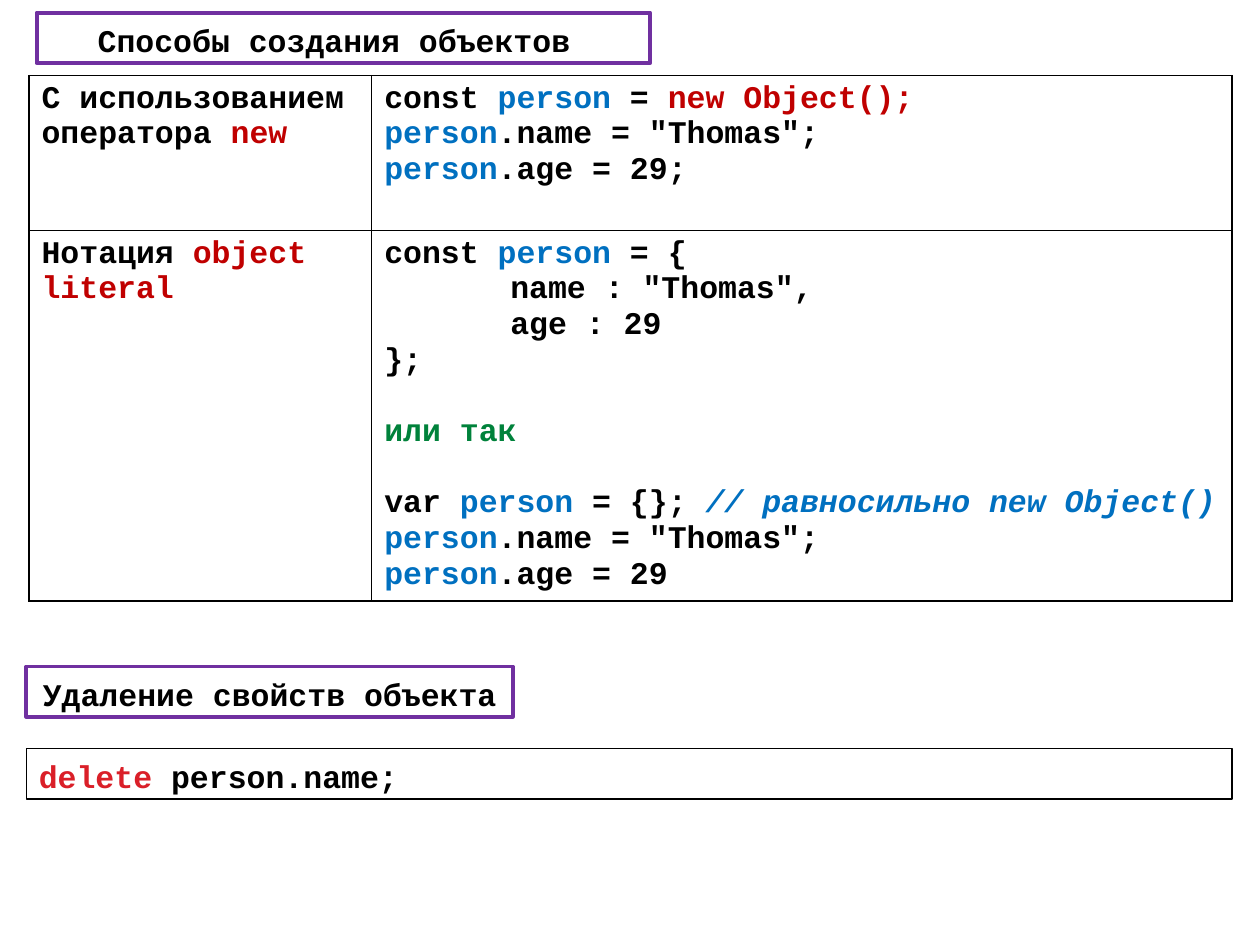
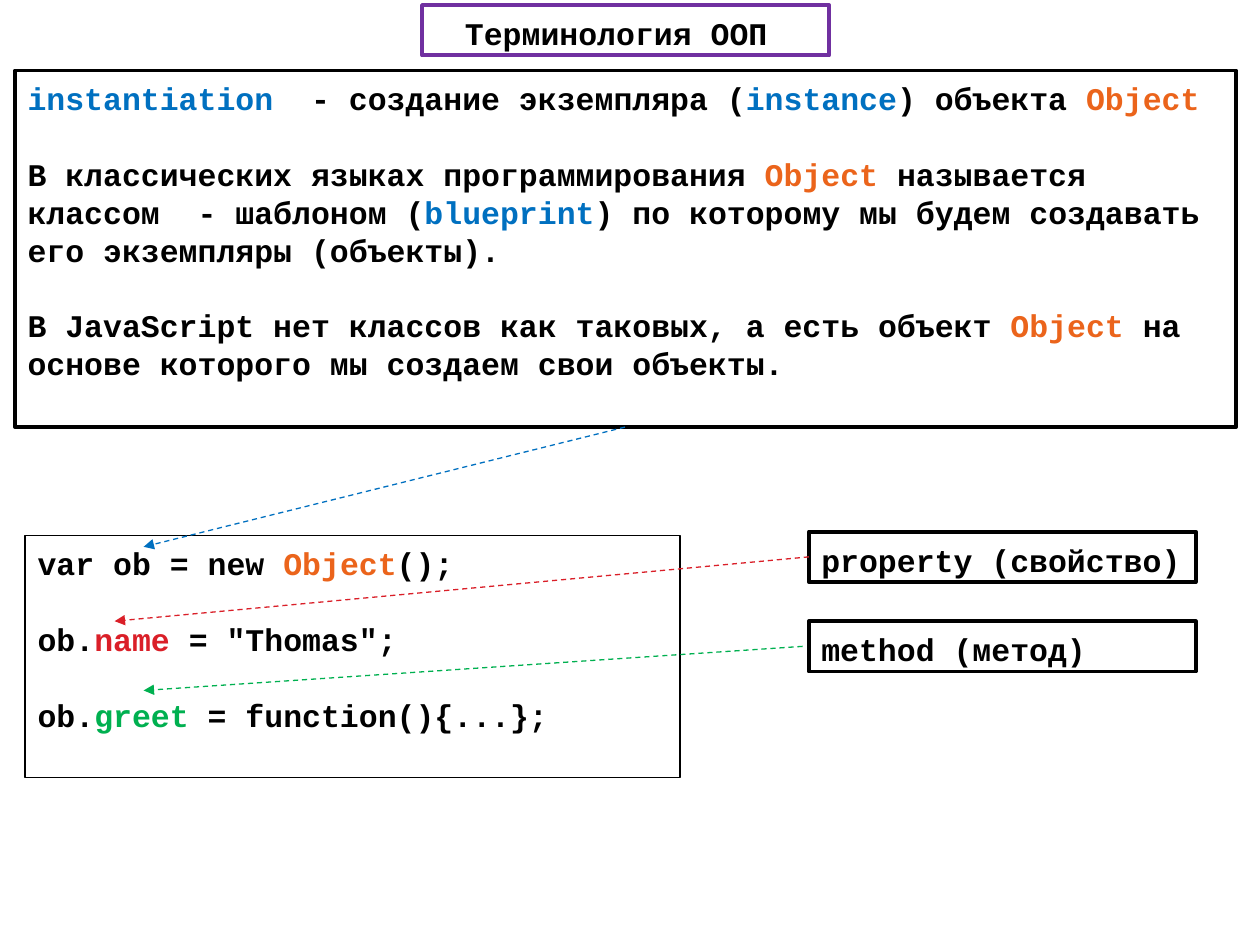
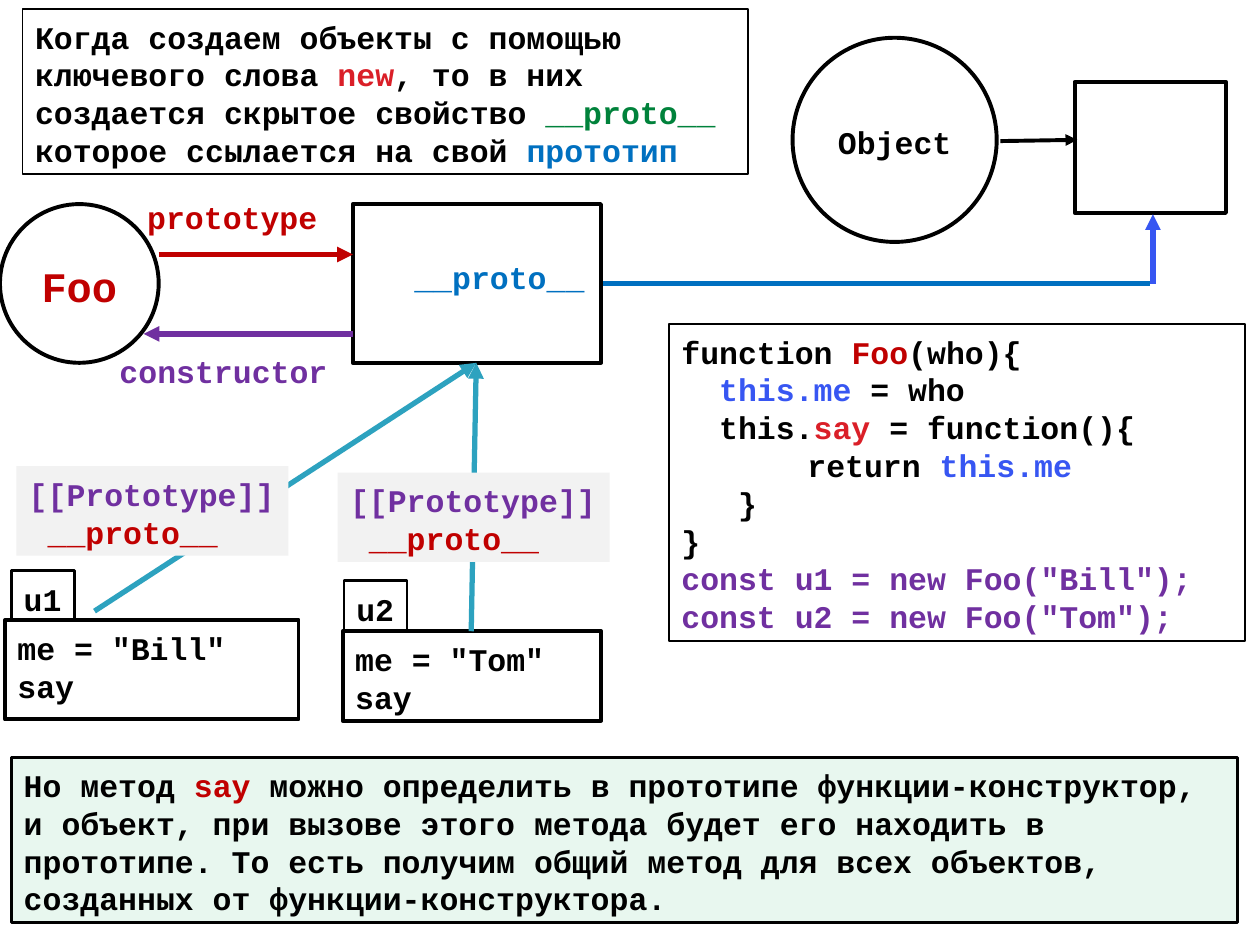
"""Build three slides about creating objects and prototypes in JavaScript."""
from lxml import etree
from pptx import Presentation
from pptx.dml.color import RGBColor
from pptx.enum.dml import MSO_LINE
from pptx.enum.shapes import MSO_CONNECTOR, MSO_SHAPE
from pptx.enum.text import MSO_ANCHOR, MSO_AUTO_SIZE, PP_ALIGN
from pptx.oxml.ns import qn
from pptx.util import Inches, Pt

RECTANGLE, ELLIPSE = MSO_SHAPE.RECTANGLE, MSO_SHAPE.OVAL
STRAIGHT, DASH = MSO_CONNECTOR.STRAIGHT, MSO_LINE.DASH
LEFT, CENTER = PP_ALIGN.LEFT, PP_ALIGN.CENTER
TOP, MIDDLE = MSO_ANCHOR.TOP, MSO_ANCHOR.MIDDLE
FIXED = MSO_AUTO_SIZE.NONE
TITLE_ONLY, BLANK = 5, 6

COLORS = {
    "black": "000000", "white": "FFFFFF", "gray": "F2F2F2",
    "blue": "0070C0", "indigo": "3756F2", "teal": "2DA2BF",
    "red": "DA1F28", "crimson": "C00000", "orange": "EB641B",
    "purple": "7030A0", "green": "00B050", "forest": "00823B",
}


def color(name):
    """Return the named colour."""
    return RGBColor.from_string(COLORS[name])


def line(*runs, indent=0, gap=False):
    """Describe a paragraph; a run is a string or (text, colour, italic)."""
    return {"runs": runs, "indent": indent, "gap": gap}


def write(paragraph, text, ink="black", size=18, italic=False):
    """Add one formatted run to a paragraph."""
    run = paragraph.add_run()
    run.text = text
    font = run.font
    font.name, font.size = "Courier New", Pt(size)
    font.bold, font.italic = True, italic
    font.color.rgb = color(ink)


class Deck:
    """Holds the style, the presentation and the current slide."""

    leading = 1.2

    def __init__(self):
        """Start a 10 by 7.5 inch presentation."""
        self.presentation = Presentation()
        self.presentation.slide_width = Inches(10)
        self.presentation.slide_height = Inches(7.5)
        self.slide = None

    def new_slide(self, layout):
        """Add a slide and make it current."""
        layouts = self.presentation.slide_layouts
        self.slide = self.presentation.slides.add_slide(layouts[layout])

    def fill_text(self, frame, lines, size=18, align=LEFT, leading=None):
        """Write the described paragraphs into a text frame."""
        for index, item in enumerate(lines):
            paragraph = frame.paragraphs[0] if index == 0 else frame.add_paragraph()
            paragraph.alignment = align
            if leading:
                paragraph.line_spacing = Pt(size * leading)
            if item["gap"]:
                paragraph.space_before = Pt(size * (leading or 1.13))
            if item["indent"]:
                properties = paragraph._p.get_or_add_pPr()
                properties.set("marL", str(Inches(item["indent"])))
                properties.set("indent", "0")
            for run in item["runs"]:
                text, ink, italic = ((run,) if isinstance(run, str) else run) + (
                    ("black", False) if isinstance(run, str) else (False,) * (3 - len(run)))
                write(paragraph, text, ink=ink, size=size, italic=italic)

    def set_frame(self, shape, lines, anchor=TOP, wrap=True, **text_format):
        """Set the frame of a shape and write its text."""
        frame = shape.text_frame
        frame.auto_size, frame.word_wrap = FIXED, wrap
        frame.vertical_anchor = anchor
        frame.margin_left = frame.margin_right = Inches(0.1)
        frame.margin_top, frame.margin_bottom = Inches(0.07), Inches(0.03)
        self.fill_text(frame, lines, leading=self.leading, **text_format)

    def title(self, position, text):
        """Place the slide title in a purple frame."""
        shape = self.slide.shapes.title
        shape.left, shape.top, shape.width, shape.height = map(Inches, position)
        shape.line.color.rgb = color("purple")
        shape.line.width = Pt(2.25)
        self.set_frame(shape, [line(text)], align=CENTER)
        shape.text_frame.margin_right = Inches(0.25)

    def box(self, position, lines=(), outline="black", weight=2.25, fill=None,
            opacity=100, kind=RECTANGLE, **text_format):
        """Add a shape with optional outline, fill and text."""
        shape = self.slide.shapes.add_shape(kind, *map(Inches, position))
        shape.shadow.inherit = False
        if fill:
            shape.fill.solid()
            shape.fill.fore_color.rgb = color(fill)
            if opacity < 100:
                solid = shape._element.spPr.find(qn("a:solidFill"))
                etree.SubElement(solid[0], qn("a:alpha"), val=str(opacity * 1000))
        else:
            shape.fill.background()
        if outline:
            shape.line.color.rgb = color(outline)
            shape.line.width = Pt(weight)
        else:
            shape.line.fill.background()
        self.set_frame(shape, lines, **text_format)

    def label(self, position, text, ink):
        """Add a one-line text box."""
        shape = self.slide.shapes.add_textbox(*map(Inches, position))
        self.set_frame(shape, [line((text, ink))], wrap=False)

    def arrow(self, start, end, ink, weight=3, dashed=False, head=True):
        """Add a straight line, with an arrowhead at its end."""
        connector = self.slide.shapes.add_connector(STRAIGHT, *map(Inches, start + end))
        connector.line.color.rgb = color(ink)
        connector.line.width = Pt(weight)
        if dashed:
            connector.line.dash_style = DASH
        properties = connector._element.spPr
        if head:
            etree.SubElement(properties.find(qn("a:ln")), qn("a:tailEnd"), type="triangle")
        etree.SubElement(properties, qn("a:effectLst"))

    def border(self, cell):
        """Draw a thin black border around a cell."""
        properties = cell._tc.get_or_add_tcPr()
        for index, side in enumerate(("lnL", "lnR", "lnT", "lnB")):
            edge = etree.Element(qn("a:" + side), w=str(Pt(1)))
            solid = etree.SubElement(edge, qn("a:solidFill"))
            etree.SubElement(solid, qn("a:srgbClr"), val=COLORS["black"])
            properties.insert(index, edge)

    def table(self, left, top, widths, heights, rows):
        """Add a bordered table without fill."""
        position = map(Inches, (left, top, sum(widths), sum(heights)))
        table = self.slide.shapes.add_table(len(heights), len(widths), *position).table
        table.first_row = table.horz_banding = False
        for column, width in zip(table.columns, widths):
            column.width = Inches(width)
        for row, height, contents in zip(table.rows, heights, rows):
            row.height = Inches(height)
            for cell, lines in zip(row.cells, contents):
                cell.fill.background()
                self.border(cell)
                self.fill_text(cell.text_frame, lines)


def creation_slide(deck):
    """Ways to create objects and delete properties."""
    person = ("person", "blue")
    name_line = line(person, '.name = "Thomas";')
    deck.new_slide(TITLE_ONLY)
    deck.title((0.29, 0.1, 4.87, 0.4), "Способы создания объектов")
    deck.table(0.23, 0.6, (2.72, 6.83), (1.23, 2.94), [
        [
            [line("С использованием"), line("оператора ", ("new", "crimson"))],
            [line("const ", person, " = ", ("new Object();", "crimson")),
             name_line,
             line(person, ".age = 29;")],
        ],
        [
            [line("Нотация ", ("object literal", "crimson"))],
            [line("const ", person, " = {"),
             line('name : "Thomas",', indent=1),
             line("age : 29", indent=1),
             line("};"),
             line(("или так", "forest"), gap=True),
             line("var ", person, " = {}; ",
                  ("// равносильно new Object()", "blue", True), gap=True),
             name_line,
             line(person, ".age = 29")],
        ],
    ])
    deck.box((0.21, 5.29, 3.86, 0.4), [line("Удаление свойств объекта")],
             outline="purple", align=CENTER)
    deck.box((0.21, 5.94, 9.57, 0.4), [line(("delete", "red"), " person.name;")],
             weight=1, fill="white", opacity=7)


def terminology_slide(deck):
    """Terms of object-oriented programming."""
    object_run = ("Object", "orange")
    deck.new_slide(TITLE_ONLY)
    deck.title((3.35, 0.04, 3.23, 0.4), "Терминология ООП")
    deck.box((0.2, 4.25, 5.2, 1.92), [
        line("var ob = new ", object_run, "();"),
        line("ob.", ("name", "red"), ' = "Thomas";', gap=True),
        line("ob.", ("greet", "green"), " = function(){...};", gap=True),
    ], weight=1, fill="white", opacity=7)
    for top, text in ((4.22, "property (свойство)"), (4.93, "method (метод)")):
        deck.box((6.42, top, 3.07, 0.4), [line(text)])
    deck.box((0.12, 0.56, 9.69, 2.83), [
        line(("instantiation ", "blue"), " - создание экземпляра (",
             ("instance", "blue"), ") объекта ", object_run),
        line("В классических языках программирования ", object_run,
             " называется классом  - шаблоном (", ("blueprint", "blue"),
             ") по которому мы будем создавать", gap=True),
        line("его экземпляры (объекты)."),
        line("В JavaScript нет классов как таковых, а есть объект ", object_run,
             " на основе которого мы создаем свои объекты.", gap=True),
    ])
    for start, end, ink in (
        ((6.42, 4.42), (0.91, 4.93), "red"),
        ((6.37, 5.13), (1.14, 5.48), "green"),
        ((4.96, 3.39), (1.14, 4.34), "blue"),
    ):
        deck.arrow(start, end, ink, weight=0.75, dashed=True)


def prototype_slide(deck):
    """Diagram of a constructor, its prototype and two instances."""
    deck.new_slide(BLANK)
    deck.box((5.31, 2.57, 4.57, 2.52), [
        line("function ", ("Foo", "crimson"), "(who){"),
        line(("this.me", "indigo"), " = who", indent=0.3),
        line("this.", ("say", "red"), " = function(){", indent=0.3),
        line("return ", ("this.me", "indigo"), indent=1),
        line("}", indent=0.45),
        line("}"),
        line(('const u1 = new Foo("Bill");', "purple")),
        line(('const u2 = new Foo("Tom");', "purple")),
    ], weight=1, fill="white", opacity=7)

    deck.box((6.29, 0.3, 1.62, 1.62), [line("Object")], kind=ELLIPSE,
             anchor=MIDDLE, align=CENTER)
    deck.box((8.53, 0.65, 1.2, 1.04))
    deck.arrow((7.94, 1.12), (8.55, 1.11), "black", weight=2.25)
    deck.arrow((4.76, 2.25), (9.13, 2.25), "blue", head=False)
    deck.arrow((9.15, 2.25), (9.15, 1.7), "indigo")

    deck.box((0, 1.62, 1.26, 1.26), [line(("Foo", "crimson"))], kind=ELLIPSE,
             anchor=MIDDLE, align=CENTER, size=24)
    deck.box((2.8, 1.62, 1.97, 1.26))
    deck.arrow((1.26, 2.02), (2.8, 2.02), "crimson")
    deck.arrow((2.8, 2.65), (1.14, 2.65), "purple")
    deck.label((1.07, 1.5, 1.56, 0.4), "prototype", "crimson")
    deck.label((0.85, 2.72, 1.86, 0.4), "constructor", "purple")

    for name, tab, value, instance in (
        ("u1", (0.09, 4.53), "Bill", (0.04, 4.92, 2.33, 0.79)),
        ("u2", (2.73, 4.61), "Tom", (2.72, 5.01, 2.05, 0.71)),
    ):
        deck.box(instance, [line(f'me = "{value}"'), line("say")])
        deck.box(tab + (0.5, 0.4), [line(name)], weight=1.5, wrap=False)
    for start in ((0.75, 4.85), (3.74, 5.01)):
        deck.arrow(start, (3.78, 2.88), "teal")
    for corner in ((2.68, 3.75), (0.13, 3.7)):
        deck.box(corner + (2.16, 0.71), [
            line(("[[Prototype]]", "purple")),
            line(("__proto__", "crimson"), indent=0.15),
        ], outline=None, fill="gray", wrap=False)

    deck.box((0.18, 0.07, 5.76, 1.31), [
        line("Когда создаем объекты с помощью ключевого слова ", ("new", "red"),
             ", то в них создается скрытое свойство ", ("__proto__", "forest"),
             " которое ссылается на свой ", ("прототип", "blue")),
    ], weight=1)
    deck.box((0.09, 6.01, 9.73, 1.31), [
        line("Но метод ", ("say", "crimson"),
             " можно определить в прототипе функции-конструктор, и объект, "
             "при вызове этого метода будет его находить в прототипе. То есть "
             "получим общий метод для всех объектов, созданных от "
             "функции-конструктора."),
    ], weight=1.5, fill="green", opacity=9)
    deck.label((3.19, 1.98, 1.56, 0.4), "__proto__", "blue")


deck = Deck()
for build in (creation_slide, terminology_slide, prototype_slide):
    build(deck)
deck.presentation.save("out.pptx")
